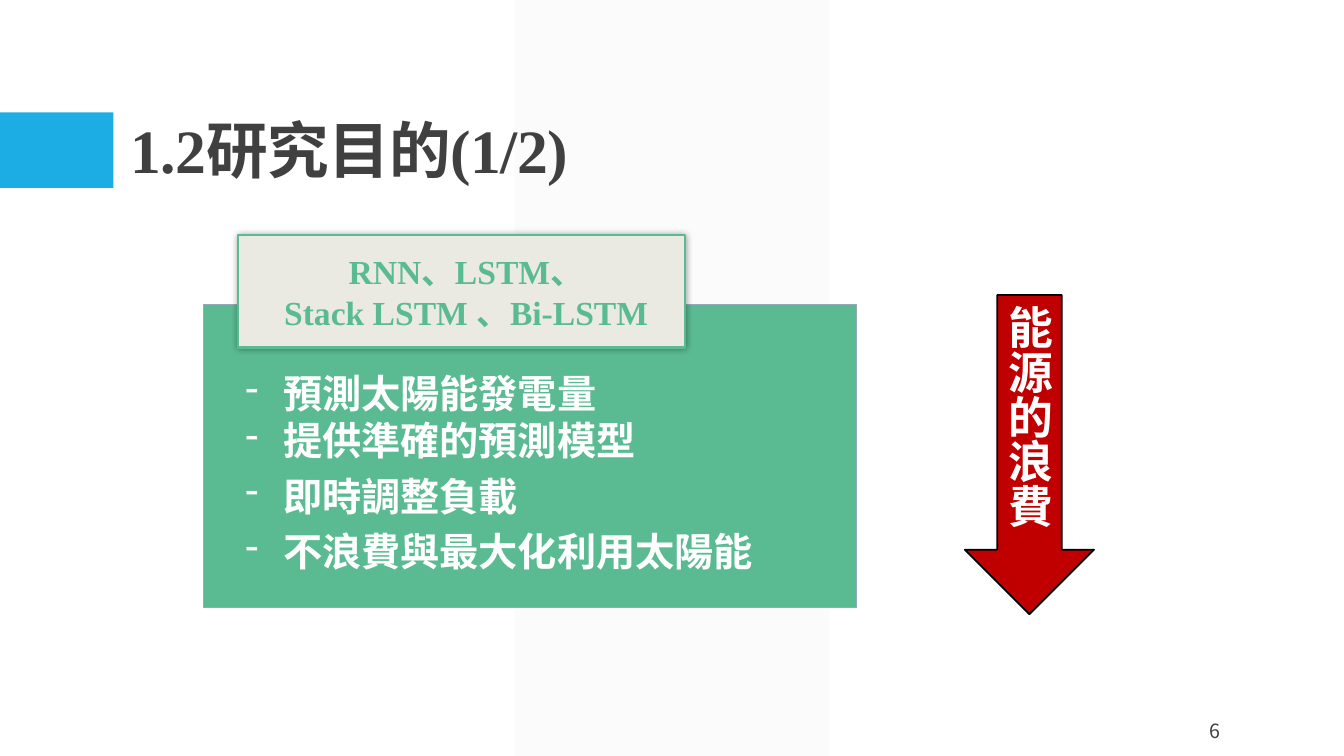
from lxml import etree
from pptx import Presentation
from pptx.dml.color import RGBColor
from pptx.enum.shapes import MSO_SHAPE
from pptx.enum.text import MSO_ANCHOR, MSO_AUTO_SIZE, PP_ALIGN
from pptx.oxml import parse_xml
from pptx.oxml.ns import nsdecls, qn
from pptx.util import Pt

PX = 9525
RECT, BAND, ARROW = MSO_SHAPE.RECTANGLE, MSO_SHAPE.PARALLELOGRAM, MSO_SHAPE.DOWN_ARROW
LEFT, CENTER, RIGHT, JUSTIFY = PP_ALIGN.LEFT, PP_ALIGN.CENTER, PP_ALIGN.RIGHT, PP_ALIGN.JUSTIFY
TOP, MIDDLE, BOTTOM = MSO_ANCHOR.TOP, MSO_ANCHOR.MIDDLE, MSO_ANCHOR.BOTTOM
SERIF, SANS, SANS_TC = "Times New Roman", "Noto Sans CJK SC", "Noto Sans CJK TC"
GREEN, WHITE, GREY = "5ABB93", "FFFFFF", "404040"


def color(hex_code):
    return RGBColor.from_string(hex_code)


def write(holder, lines, anchor, align, hex_code, east_asian, font, spacing):
    frame = holder.text_frame
    frame.word_wrap = True
    frame.auto_size = MSO_AUTO_SIZE.NONE
    frame.vertical_anchor = anchor
    frame.text = "\n".join(lines)
    for paragraph in frame.paragraphs:
        layout = {"alignment": align, "line_spacing": spacing, "space_before": Pt(0)}
        for key, value in layout.items():
            setattr(paragraph, key, value)
        run = paragraph.runs[0]
        for key, value in font.items():
            setattr(run.font, key, value)
        run.font.color.rgb = color(hex_code)
        etree.SubElement(run.font._element, qn("a:ea")).set("typeface", east_asian)


prs = Presentation()
prs.slide_width, prs.slide_height = 1280 * PX, 720 * PX
slide = prs.slides.add_slide(prs.slide_layouts[1])
shapes = slide.shapes
title, goals = shapes.title, slide.placeholders[1]

panels = {}
for part, kind, box, fill, line, width in [
    ("backdrop", BAND, (490, 0, 300, 720), "F2F2F2", None, 0),
    ("accent", RECT, (0, 107, 108, 72), "1CADE4", None, 0),
    ("waste", ARROW, (919, 281, 123, 304), "C00000", "000000", 1.25),
    ("goals", RECT, (194, 290, 622, 289), GREEN, "96A9BA", 0),
    ("models", RECT, (227, 224, 425, 107), "EBEAE2", GREEN, 1.5),
]:
    panel = shapes.add_shape(kind, *[n * PX for n in box])
    panel.shadow.inherit = False
    panel.fill.solid()
    panel.fill.fore_color.rgb = color(fill)
    if line:
        panel.line.color.rgb = color(line)
        panel.line.width = Pt(width)
    else:
        panel.line.fill.background()
    panels[part] = panel

panels["backdrop"].adjustments[0] = 0
backdrop_color = panels["backdrop"]._element.spPr.find(".//" + qn("a:srgbClr"))
etree.SubElement(backdrop_color, qn("a:alpha")).set("val", "30000")
panels["models"]._element.spPr.find(qn("a:effectLst")).append(parse_xml(
    f'<a:outerShdw {nsdecls("a")} blurRad="63500" dist="0" dir="0" algn="ctr" rotWithShape="0">'
    '<a:srgbClr val="000000"><a:alpha val="40000"/></a:srgbClr></a:outerShdw>'))

for holder, box in [(title, (115, 30, 1056, 153)), (goals, (224, 347, 567, 206))]:
    for key, value in zip(("left", "top", "width", "height"), box):
        setattr(holder, key, value * PX)
    shapes._spTree.append(holder._element)
models = shapes.add_textbox(*[n * PX for n in (245, 234, 398, 87)])
page_number = shapes.add_textbox(*[n * PX for n in (1090, 677, 82, 38)])

write(title, ["1.2研究目的(1/2)"], BOTTOM, LEFT, GREY, SANS,
      {"name": SERIF, "size": Pt(44), "bold": True}, 0.9)
title.text_frame.paragraphs[0].runs[0].font._element.set("spc", "-50")
write(panels["waste"], ["能源的浪費"], MIDDLE, CENTER, WHITE, SANS,
      {"name": SANS, "size": Pt(32), "bold": True}, 1.0)
panels["waste"].text_frame._txBody.bodyPr.set("vert", "eaVert")
write(goals, ["預測太陽能發電量", "提供準確的預測模型", "即時調整負載", "不浪費與最大化利用太陽能"],
      TOP, JUSTIFY, WHITE, SANS, {"name": SANS, "size": Pt(28), "bold": True}, Pt(33.6))
write(models, ["RNN、LSTM、", "Stack LSTM 、Bi-LSTM"], TOP, CENTER, GREEN, SANS,
      {"name": SERIF, "size": Pt(24), "bold": True}, Pt(29))
write(page_number, ["6"], MIDDLE, RIGHT, GREY, SANS_TC, {"name": SANS_TC, "size": Pt(14)}, 1.0)

for index, goal in enumerate(goals.text_frame.paragraphs):
    goal.space_before = Pt(6 if index > 1 else 0)
    properties = goal._p.get_or_add_pPr()
    properties.set("marL", str(36 * PX))
    properties.set("indent", str(-36 * PX))
    etree.SubElement(properties, qn("a:buFontTx"))
    etree.SubElement(properties, qn("a:buChar")).set("char", "-")

prs.save("out.pptx")
